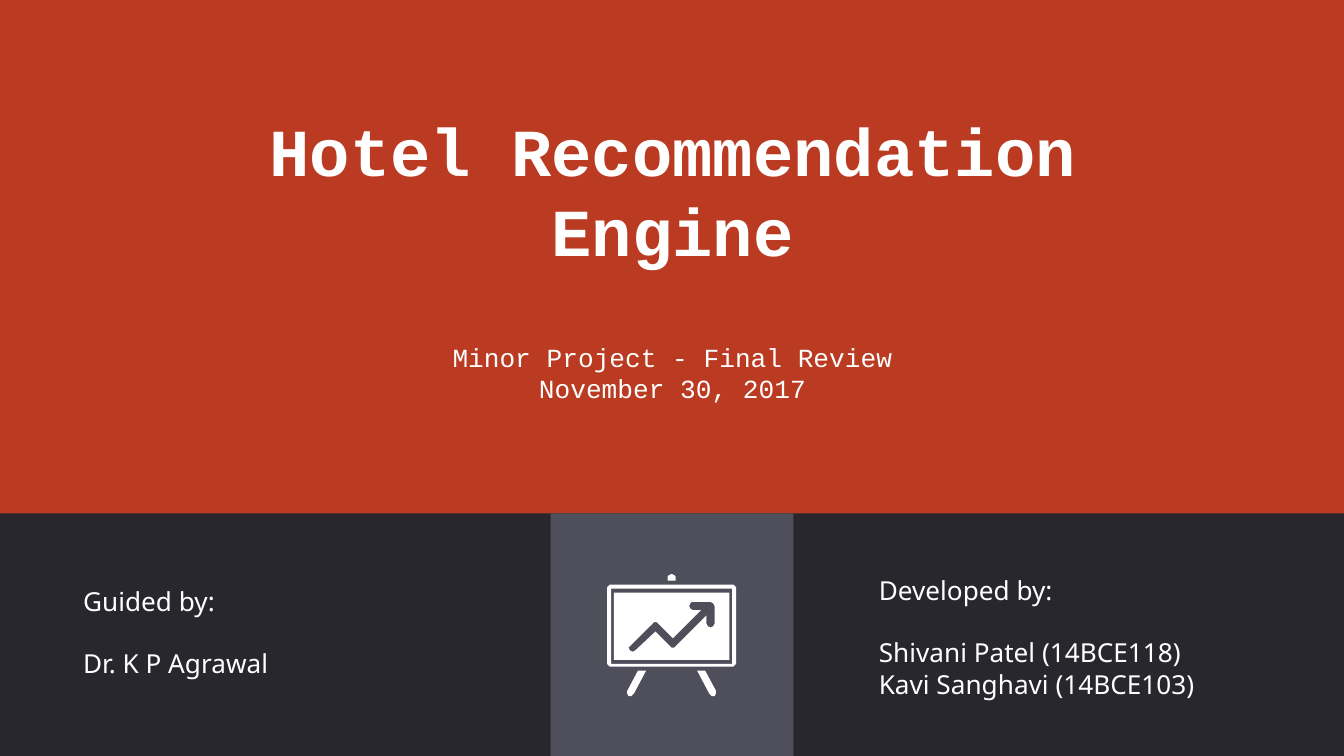
from dataclasses import dataclass

from pptx import Presentation
from pptx.dml.color import RGBColor
from pptx.enum.shapes import MSO_SHAPE as Preset
from pptx.enum.text import MSO_ANCHOR as Anchor, PP_ALIGN as Align
from pptx.util import Inches, Pt


@dataclass(frozen=True)
class Theme:
    """Colours, fonts and type sizes of the slide."""
    brick: str = "BA3B21"
    charcoal: str = "27272D"
    slate: str = "4F4F5C"
    white: str = "FFFFFF"
    mono: str = "Courier New"
    sans: str = "Noto Sans"
    title: int = 36
    body: int = 14


THEME = Theme()
SLIDE_WIDTH = 10
SLIDE_HEIGHT = SLIDE_WIDTH * 9 / 16
HEADING_HEIGHT = 3.82

FRAME = [
    [(3, 11), (93, 11), (93, 67), (3, 67)],
    [(2, 8), (0, 10), (0, 67), (2, 69), (94, 69), (96, 67), (96, 10), (94, 8)],
]
KNOB = [[(48, 0), (46, 1), (45, 2), (45, 5), (51, 5), (51, 2), (50, 1)]]
LEFT_LEG = [[(23, 72), (15, 87), (15, 89), (16, 91), (18, 91), (20, 89), (29, 72)]]
RIGHT_LEG = [[(96 - x, y) for x, y in LEFT_LEG[0]]]
TREND_ARROW = [
    (77, 21), (79, 22), (80, 24), (80, 37), (79, 39), (77, 40), (75, 39), (74, 37),
    (74, 31), (51, 54), (50, 55), (48, 55), (47, 54), (36, 43), (21, 57), (19, 58),
    (17, 57), (16, 55), (17, 54), (34, 37), (35, 36), (37, 36), (38, 37), (49, 48),
    (70, 27), (64, 27), (62, 26), (61, 24), (62, 22), (63, 21),
]
BOARD = [TREND_ARROW, [(5, 14), (5, 64), (91, 64), (91, 14)]]


def paint(shape, colour):
    """Give a shape a flat fill without line or shadow."""
    shape.shadow.inherit = False
    shape.fill.solid()
    shape.fill.fore_color.rgb = RGBColor.from_string(colour)
    shape.line.fill.background()


def add_panel(slide, box, colour):
    """Add a flat rectangle."""
    paint(slide.shapes.add_shape(Preset.RECTANGLE, *map(Inches, box)), colour)


def add_text(slide, box, lines, font, align=Align.LEFT, anchor=Anchor.TOP):
    """Add lines given as (text, size, bold, space before, line pitch)."""
    frame = slide.shapes.add_textbox(*map(Inches, box)).text_frame
    frame.word_wrap = True
    frame.vertical_anchor = anchor
    frame.margin_left = frame.margin_right = Inches(0.1)
    frame.margin_top = frame.margin_bottom = Inches(0.1)
    for index, (text, size, bold, gap, pitch) in enumerate(lines):
        paragraph = frame.add_paragraph() if index else frame.paragraphs[0]
        paragraph.alignment = align
        paragraph.space_before = Pt(gap)
        paragraph.line_spacing = Pt(pitch)
        run = paragraph.add_run()
        run.text = text
        run.font.name = font
        run.font.size = Pt(size)
        run.font.bold = bold
        run.font.color.rgb = RGBColor.from_string(THEME.white)


def add_heading(slide, box):
    """Place the project title with its subtitle and date."""
    lines = [
        ("Hotel Recommendation Engine", THEME.title, True, 0, 43),
        ("Minor Project - Final Review", THEME.body, False, 38, 17),
        ("November 30, 2017", THEME.body, False, 0, 17),
    ]
    add_text(slide, box, lines, THEME.mono, Align.CENTER, Anchor.MIDDLE)


def add_credit(slide, box, role, names):
    """Place a role with the people who hold it below."""
    lines = [(role, THEME.body, False, 0, 17)]
    lines += [(name, THEME.body, False, 0 if i else 16.5, 17) for i, name in enumerate(names)]
    add_text(slide, box, lines, THEME.sans)


def add_easel(slide, left, top):
    """Draw the easel with a rising arrow, in hundredths of an inch."""
    for contours in (FRAME, KNOB, LEFT_LEG, RIGHT_LEG, BOARD):
        builder = slide.shapes.build_freeform(*contours[0][0], scale=Inches(0.01))
        for index, points in enumerate(contours):
            if index:
                builder.move_to(*points[0])
            builder.add_line_segments(points[1:], close=True)
        paint(builder.convert_to_shape(Inches(left), Inches(top)), THEME.white)


def add_footer(slide, left, top, width, height):
    """Place the dark band, its icon tile and the two credits."""
    tile_left = left + (width - height) / 2
    add_panel(slide, (left, top, width, height), THEME.charcoal)
    add_panel(slide, (tile_left, top, height, height), THEME.slate)
    add_easel(slide, tile_left + 0.42, top + 0.45)
    add_credit(slide, (left + 0.52, top + 0.43, 3.05, 0.91), "Guided by:", ["Dr. K P Agrawal"])
    add_credit(slide, (left + 6.44, top + 0.35, 3.05, 1.08), "Developed by:",
               ["Shivani Patel (14BCE118)", "Kavi Sanghavi (14BCE103)"])


def main():
    """Build the title slide and save it."""
    deck = Presentation()
    deck.slide_width, deck.slide_height = Inches(SLIDE_WIDTH), Inches(SLIDE_HEIGHT)
    slide = deck.slides.add_slide(deck.slide_layouts[6])
    slide.background.fill.solid()
    slide.background.fill.fore_color.rgb = RGBColor.from_string(THEME.brick)
    add_footer(slide, 0, HEADING_HEIGHT, SLIDE_WIDTH, SLIDE_HEIGHT - HEADING_HEIGHT)
    add_heading(slide, (1.08, 0, 7.85, HEADING_HEIGHT))
    deck.save("out.pptx")


if __name__ == "__main__":
    main()
